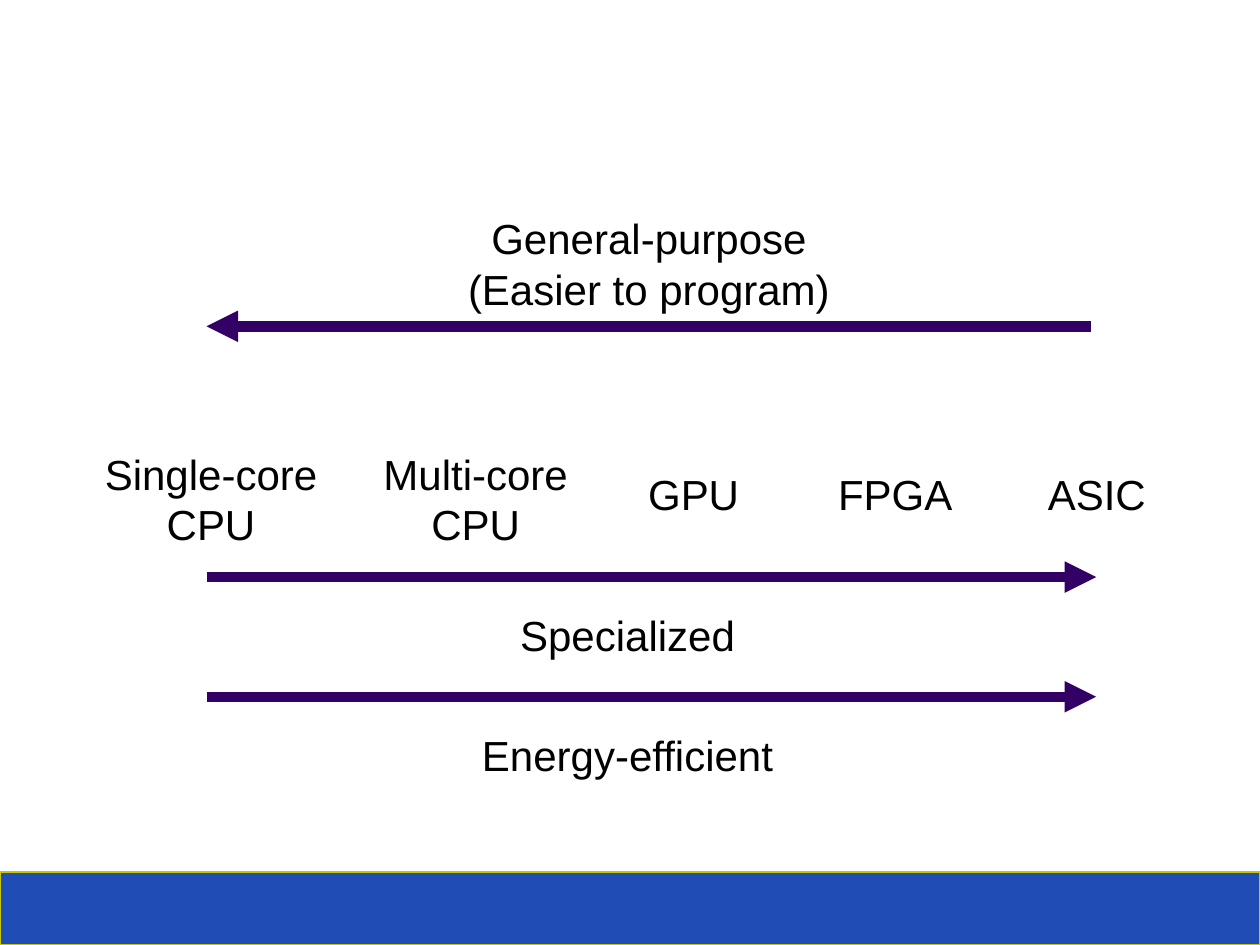
from lxml import etree
from pptx import Presentation
from pptx.dml.color import RGBColor
from pptx.enum.shapes import MSO_CONNECTOR, MSO_SHAPE
from pptx.enum.text import MSO_ANCHOR, PP_ALIGN
from pptx.oxml.ns import qn
from pptx.util import Inches, Pt

LINE = MSO_CONNECTOR.STRAIGHT
RECT = MSO_SHAPE.RECTANGLE
TOP = MSO_ANCHOR.TOP
MID = PP_ALIGN.CENTER

HUES = {"band": "204DB5", "edge": "C8C800", "arrow": "330066", "text": "000000"}
INK = {name: RGBColor.from_string(code) for name, code in HUES.items()}
PAD = Inches(0.1)
FRAME = {
    "word_wrap": True,
    "vertical_anchor": TOP,
    "margin_left": PAD,
    "margin_right": PAD,
    "margin_top": PAD,
    "margin_bottom": PAD,
}
FONT = {"name": "Arial", "size": Pt(24)}

deck = Presentation()
deck.slide_width = Inches(10)
deck.slide_height = Inches(7.5)
slide = deck.slides.add_slide(deck.slide_layouts[6])
shapes = slide.shapes

band = shapes.add_shape(RECT, Inches(0), Inches(6.92), Inches(10), Inches(0.58))
band.shadow.inherit = False
band.fill.solid()
band.fill.fore_color.rgb = INK["band"]
band.line.color.rgb = INK["edge"]
band.line.width = Pt(0.75)

chips = [("Single-core\nCPU", 0.64, 3.46, 2.07), ("Multi-core\nCPU", 2.93, 3.46, 1.69)]
chips += [(name, 4.85 + 1.6 * i, 3.62, 1.31) for i, name in enumerate(["GPU", "FPGA", "ASIC"])]
trends = [
    ("General-purpose\n(Easier to program)", 3.59, 1.59, 3.12),
    ("Specialized", 3.42, 4.74, 3.12),
    ("Energy-efficient", 3.42, 5.69, 3.12),
]

for text, left, top, width in chips + trends:
    box = shapes.add_textbox(Inches(left), Inches(top), Inches(width), Inches(0.56))
    frame = box.text_frame
    for key, value in FRAME.items():
        setattr(frame, key, value)
    para = frame.paragraphs[0]
    para.text = text
    para.alignment = MID
    for run in para.runs:
        for key, value in FONT.items():
            setattr(run.font, key, value)
        run.font.color.rgb = INK["text"]

for start, end, y in [(8.66, 1.64, 2.59), (1.64, 8.7, 4.58), (1.64, 8.7, 5.53)]:
    arrow = shapes.add_connector(LINE, Inches(start), Inches(y), Inches(end), Inches(y))
    arrow.line.color.rgb = INK["arrow"]
    arrow.line.width = Pt(6)
    props = arrow.line._get_or_add_ln()
    etree.SubElement(props, qn("a:tailEnd"), type="triangle")
    etree.SubElement(props.getparent(), qn("a:effectLst"))

deck.save("out.pptx")
